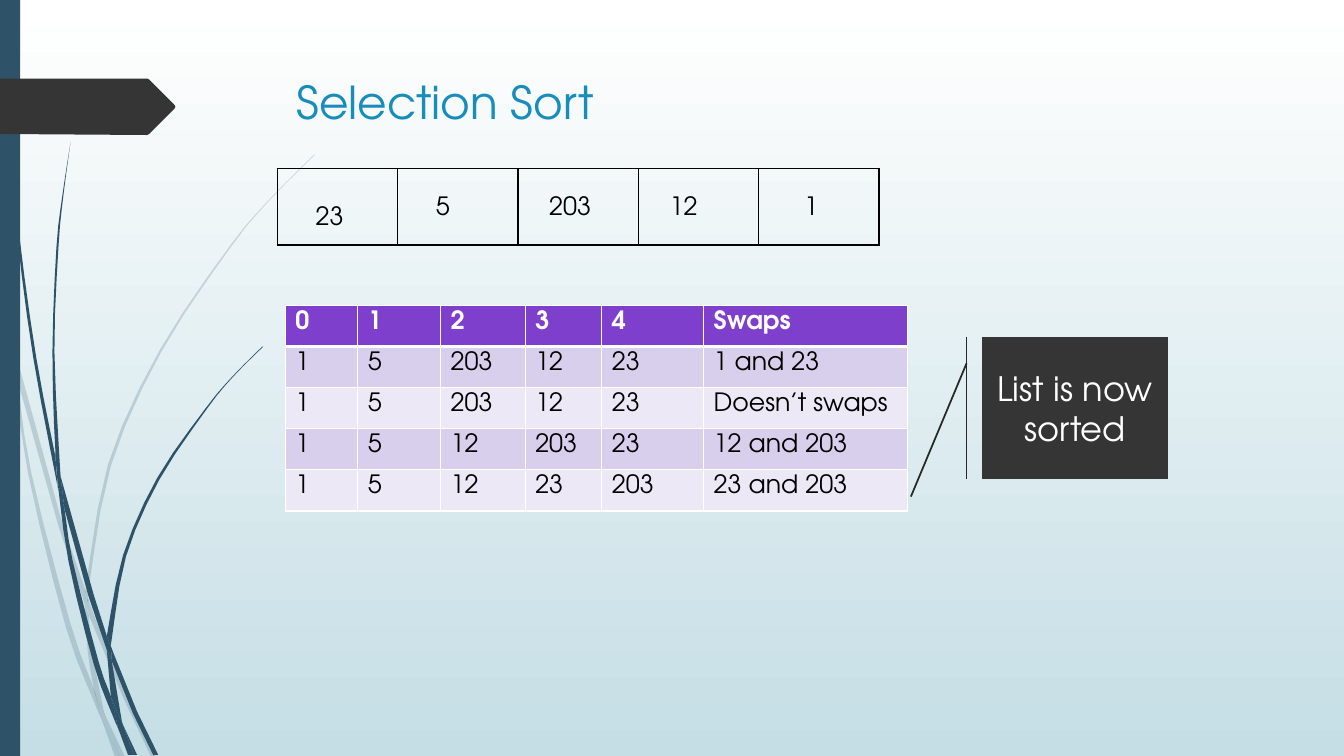
"""Builds the Selection Sort slide: the starting list, its swaps and a closing callout."""
from dataclasses import dataclass

from lxml.etree import SubElement
from pptx import Presentation
from pptx.dml.color import RGBColor
from pptx.enum.shapes import MSO_SHAPE as Shape
from pptx.enum.text import MSO_ANCHOR as Anchor, MSO_AUTO_SIZE as AutoSize, PP_ALIGN as Align
from pptx.oxml.ns import qn
from pptx.util import Inches, Pt


@dataclass(frozen=True)
class Theme:
    font: str = "TeX Gyre Adventor"
    title_size: float = 32.4
    callout_size: float = 24
    table_size: float = 18
    sky: tuple = ("FFFFFF", "C5DEE5")
    strand: str = "2E5369"
    dark: str = "353535"
    outline: str = "272727"
    title: str = "178DBB"
    header: str = "7E40CC"
    bands: tuple = ("D8CFEC", "ECE8F6")
    white: str = "FFFFFF"
    black: str = "000000"


THEME = Theme()
TITLE = "Selection Sort"
CALLOUT = "List is now sorted"
START_LIST = [("23", 0.28, 0.38), ("5", 0.28, 0.28), ("203", 0.21, 0.28),
              ("12", 0.21, 0.28), ("1", 0.35, 0.28)]
SWAP_WIDTHS = [0.72, 0.82, 0.84, 0.76, 1.01, 2.02]
SWAPS = [
    ["0", "1", "2", "3", "4", "Swaps"],
    ["1", "5", "203", "12", "23", "1 and 23"],
    ["1", "5", "203", "12", "23", "Doesn’t swaps"],
    ["1", "5", "12", "203", "23", "12 and 203"],
    ["1", "5", "12", "23", "203", "23 and 203"],
]
PALE_STRANDS = [
    ([(0.11, 3.5), (0.09, 3.22), (0, 2.82)], [(0, 2.99), (0.1, 3.44)]),
    ([(0.14, 3.45), (0.17, 3.76), (0.58, 5.22), (0.84, 5.99)], [(0.85, 5.86), (0.62, 5.2), (0.14, 3.45)]),
    ([(0.88, 5.96), (0.88, 6.1), (1.23, 6.94), (1.5, 7.51)], [(1.55, 7.51), (1.27, 6.92), (0.92, 6.07)]),
    ([(1.19, 7.51), (1.24, 7.51)], [(1.05, 7.11)]),
    ([(0.11, 3.5), (0.28, 4.7), (0.65, 6.21), (0.92, 6.93), (1.01, 7.14)],
     [(0.99, 7.07), (0.93, 6.83), (0.7, 6.19), (0.31, 4.69), (0.17, 3.76), (0.11, 3.5)]),
    ([(0.84, 5.99), (0.87, 6.46), (0.93, 6.83), (0.96, 6.92), (1.05, 7.11)],
     [(1.03, 7.06), (0.91, 6.46), (0.88, 6.1)]),
    ([(0.88, 5.96), (0.88, 5.84), (1.1, 4.62), (1.6, 3.49), (2.29, 2.45), (2.68, 1.98), (3.12, 1.54)],
     [(3.12, 1.53), (2.68, 1.97), (2.28, 2.44), (1.58, 3.48), (1.07, 4.61), (0.85, 5.84), (0.85, 5.86)]),
    ([(1.01, 7.14), (1.14, 7.51)], [(1.19, 7.51)]),
    ([(0.88, 6.08), (0.88, 6.1)], [(0.88, 5.96), (0.85, 5.86), (0.84, 5.99)]),
    ([(0.93, 6.83), (0.99, 7.07), (1.01, 7.14), (1.19, 7.51)], [(1.05, 7.11), (0.96, 6.92)]),
]
DARK_STRANDS = [
    ([(0.03, 0), (0.04, 0.48), (0.07, 1.1), (0.17, 2.33), (0.33, 3.55), (0.56, 4.77), (0.57, 4.81)],
     [(0.55, 4.53), (0.36, 3.55), (0.19, 2.32), (0.08, 1.09), (0.05, 0.48), (0.04, 0)]),
    ([(0.6, 4.72), (0.64, 5.05), (0.88, 5.92), (1.06, 6.45)], [(1.06, 6.31), (0.93, 5.9), (0.6, 4.72)]),
    ([(1.1, 6.41), (1.11, 6.56), (1.32, 7.08), (1.52, 7.49)], [(1.57, 7.49), (1.36, 7.06), (1.13, 6.49)]),
    ([(0.57, 4.77), (0.68, 5.57), (0.93, 6.59), (1.11, 7.08), (1.17, 7.22)],
     [(1.16, 7.17), (1.1, 6.91), (0.98, 6.57), (0.72, 5.56), (0.64, 5.05), (0.57, 4.77)]),
    ([(0.6, 4.72), (0.54, 3.49), (0.58, 2.45), (0.63, 1.93), (0.7, 1.41)],
     [(0.7, 1.41), (0.62, 1.93), (0.56, 2.45), (0.52, 3.49), (0.55, 4.49), (0.6, 4.72)]),
    ([(1.33, 7.49), (1.36, 7.49)], [(1.22, 7.19)]),
    ([(0.57, 4.77), (0.64, 5.05)], [(0.6, 4.72), (0.55, 4.49), (0.55, 4.53)]),
    ([(1.1, 6.41), (1.11, 6.33), (1.25, 5.52), (1.58, 4.76), (2.05, 4.06), (2.31, 3.74), (2.61, 3.44)],
     [(2.6, 3.44), (2.31, 3.73), (2.04, 4.05), (1.56, 4.74), (1.22, 5.51), (1.06, 6.31)]),
    ([(1.17, 7.22), (1.27, 7.49)], [(1.31, 7.49)]),
    ([(1.06, 6.45), (1.1, 6.91), (1.16, 7.06), (1.22, 7.19)], [(1.21, 7.16), (1.11, 6.56)]),
    ([(1.06, 6.45), (1.11, 6.56)], [(1.1, 6.41), (1.06, 6.31)]),
    ([(1.1, 6.91), (1.16, 7.17), (1.17, 7.22), (1.3, 7.49)], [(1.33, 7.49), (1.22, 7.19), (1.16, 7.06)]),
]
BANNER = [(0, 0.78), (1.46, 0.78), (1.48, 0.79), (1.73, 1.04), (1.74, 1.06),
          (1.73, 1.08), (1.48, 1.33), (1.46, 1.34), (0, 1.33)]


def color(code):
    return RGBColor.from_string(code)


def write(frame, text, size, ink, bold=False, align=Align.LEFT):
    paragraph = frame.paragraphs[0]
    paragraph.alignment = align
    run = paragraph.add_run()
    run.text = text
    run.font.name = THEME.font
    run.font.size = Pt(size)
    run.font.bold = bold
    run.font.color.rgb = color(ink)


def paint(shape, fill, line=None):
    shape.shadow.inherit = False
    shape.fill.solid()
    shape.fill.fore_color.rgb = color(fill)
    if line:
        shape.line.color.rgb = color(line)
        shape.line.width = Pt(1.25)
    else:
        shape.line.fill.background()


def smooth(edge):
    steps = 3 if len(edge) > 4 else 1
    padded = [edge[0], *edge, edge[-1]]
    curve = []
    for corners in zip(padded, padded[1:], padded[2:], padded[3:]):
        for t in (step / steps for step in range(steps)):
            curve.append(tuple(
                q + t / 2 * (r - p + t * (2 * p - 5 * q + 4 * r - s + t * (3 * (q - r) + s - p)))
                for p, q, r, s in zip(*corners)))
    return curve + [edge[-1]]


def add_outline(slide, points, fill, opacity=None):
    corners = [(Inches(x), Inches(y)) for x, y in points]
    builder = slide.shapes.build_freeform(*corners[0], scale=1.0)
    builder.add_line_segments(corners[1:], close=True)
    outline = builder.convert_to_shape()
    paint(outline, fill)
    if opacity:
        tint = outline.fill._xPr.find(qn("a:solidFill"))[0]
        SubElement(tint, qn("a:alpha")).set("val", str(opacity * 1000))


def set_borders(cell, ink, top=1, bottom=1):
    properties = cell._tc.get_or_add_tcPr()
    for side, width in (("L", 1), ("R", 1), ("T", top), ("B", bottom)):
        border = SubElement(properties, qn(f"a:ln{side}"), w=str(Pt(width)))
        SubElement(SubElement(border, qn("a:solidFill")), qn("a:srgbClr"), val=ink)


def add_grid(slide, left, top, widths, rows, height):
    grid = slide.shapes.add_table(rows, len(widths), *map(Inches, (left, top, sum(widths), height))).table
    grid.horz_banding = False
    for column, width in zip(grid.columns, widths):
        column.width = Inches(width)
    for row in grid.rows:
        row.height = Inches(height / rows)
    return grid


def add_swaps(slide):
    grid = add_grid(slide, 2.83, 3.03, SWAP_WIDTHS, len(SWAPS), 2.04)
    for r, values in enumerate(SWAPS):
        header = r == 0
        for c, value in enumerate(values):
            cell = grid.cell(r, c)
            set_borders(cell, THEME.white, top=3 if r == 1 else 1, bottom=3 if header else 1)
            cell.fill.solid()
            cell.fill.fore_color.rgb = color(THEME.header if header else THEME.bands[(r - 1) % 2])
            write(cell.text_frame, value, THEME.table_size,
                  THEME.white if header else THEME.black, bold=header)


def add_start_list(slide):
    grid = add_grid(slide, 2.75, 1.67, [5.97 / len(START_LIST)] * len(START_LIST), 1, 0.76)
    grid.first_row = False
    for cell, (value, indent, drop) in zip(grid.iter_cells(), START_LIST):
        set_borders(cell, THEME.black)
        cell.fill.background()
        cell.margin_left, cell.margin_top, cell.margin_bottom = Inches(0.1 + indent), Inches(drop), 0
        write(cell.text_frame, value, THEME.table_size, THEME.black)


def add_backdrop(slide, height):
    sky = slide.background.fill
    sky.gradient()
    sky.gradient_angle = 270
    for stop, tint in zip(sky.gradient_stops, THEME.sky):
        stop.color.rgb = color(tint)
    for strands, opacity in ((PALE_STRANDS, 20), (DARK_STRANDS, None)):
        for there, back in strands:
            add_outline(slide, smooth(there) + smooth(back), THEME.strand, opacity)
    paint(slide.shapes.add_shape(Shape.RECTANGLE, 0, 0, Inches(0.2), height), THEME.strand)
    add_outline(slide, BANNER, THEME.dark)


def main():
    deck = Presentation()
    deck.slide_width, deck.slide_height = Inches(13.33), Inches(7.5)
    slide = deck.slides.add_slide(deck.slide_layouts[5])
    add_backdrop(slide, deck.slide_height)
    title = slide.shapes.title
    title.left, title.top, title.width, title.height = map(Inches, (2.84, 0.68, 8.47, 0.62))
    title.text_frame.auto_size = AutoSize.NONE
    title.text_frame.vertical_anchor = Anchor.MIDDLE
    title.text_frame.margin_top = Inches(0.09)
    write(title.text_frame, TITLE, THEME.title_size, THEME.title)
    add_swaps(slide)
    add_start_list(slide)
    callout = slide.shapes.add_shape(Shape.LINE_CALLOUT_1_ACCENT_BAR,
                                     *map(Inches, (9.74, 3.34, 1.84, 1.41)))
    paint(callout, THEME.dark, THEME.outline)
    callout.text_frame.word_wrap = True
    callout.text_frame.vertical_anchor = Anchor.MIDDLE
    write(callout.text_frame, CALLOUT, THEME.callout_size, THEME.white, align=Align.CENTER)
    deck.save("out.pptx")


if __name__ == "__main__":
    main()
